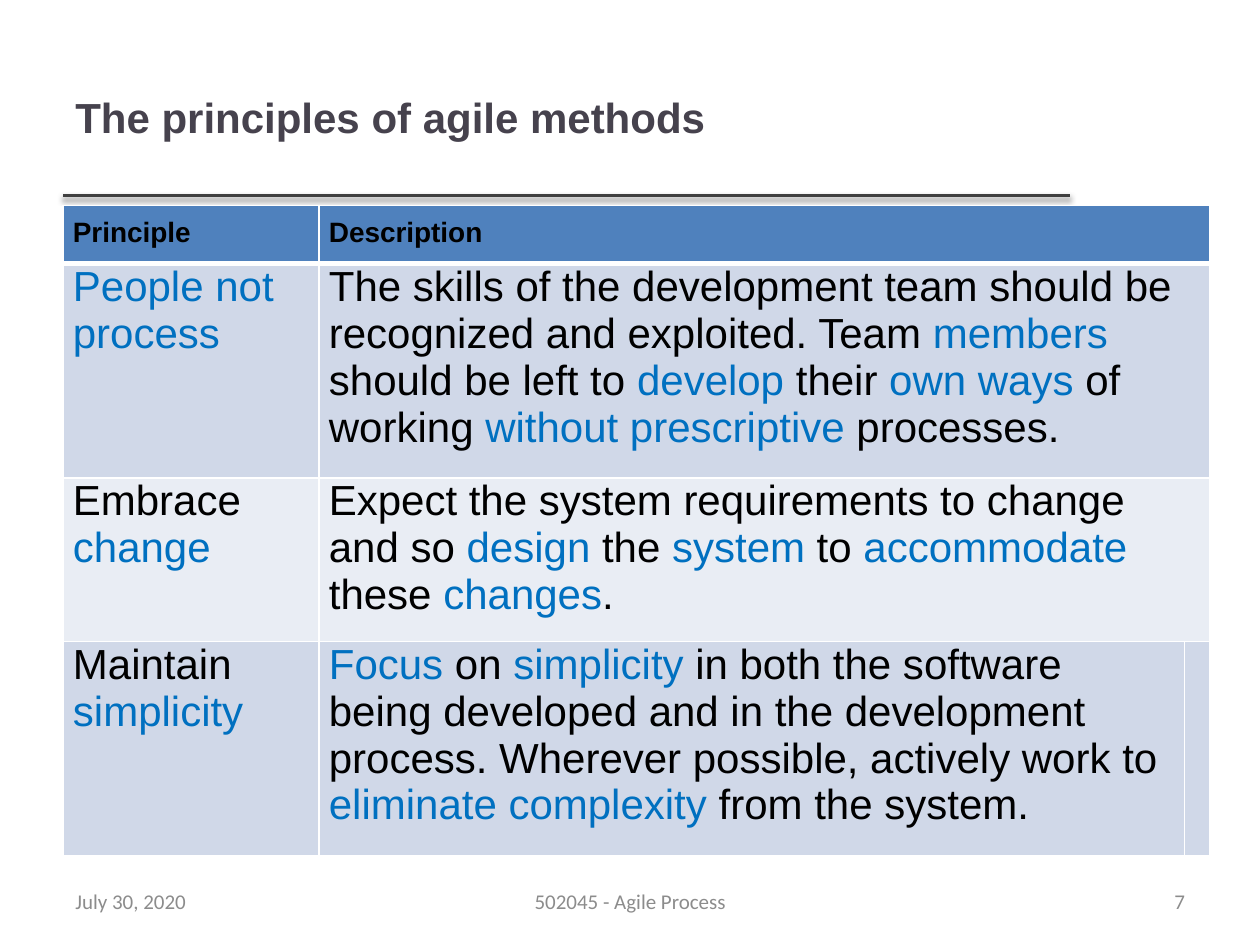
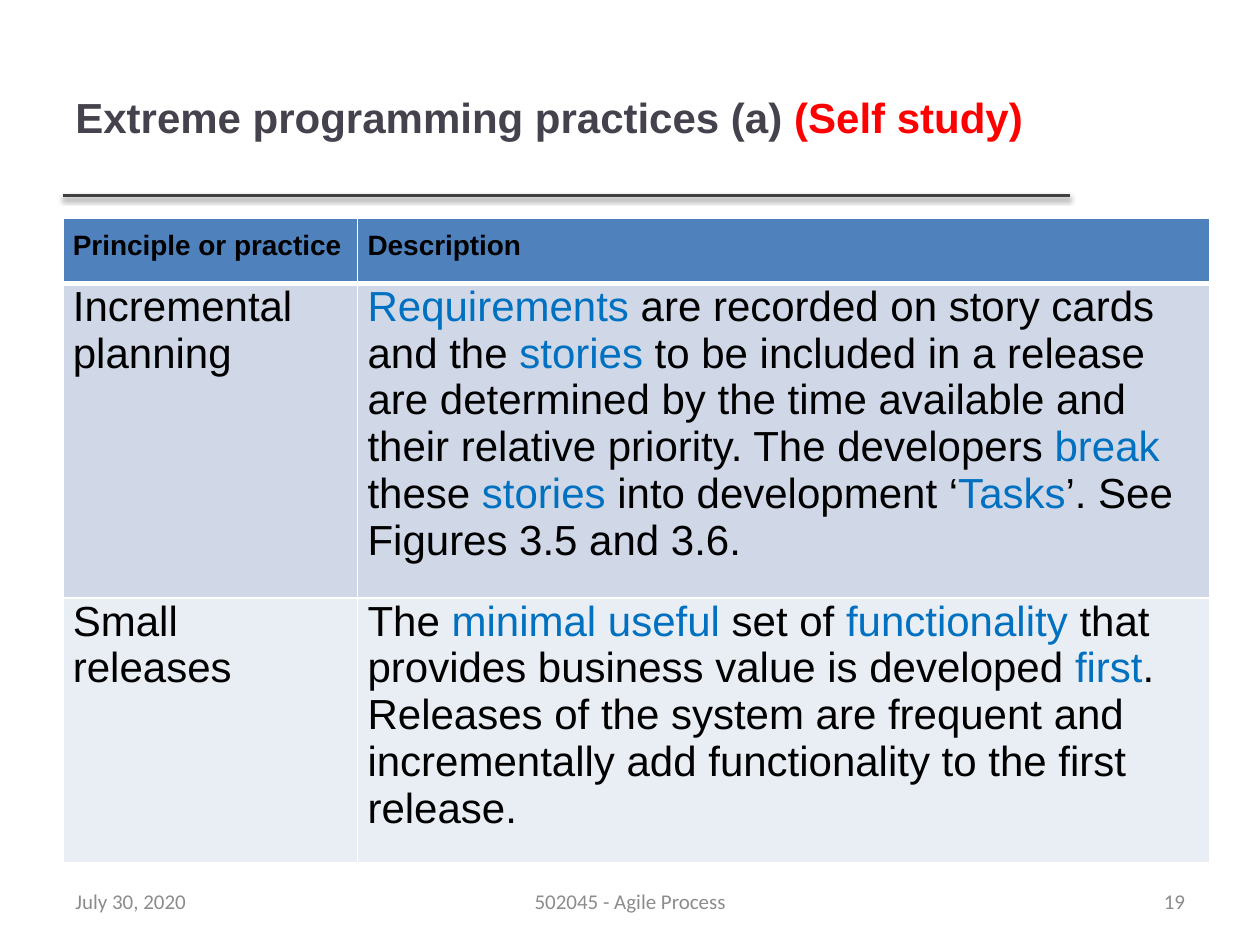
from lxml.etree import SubElement
from pptx import Presentation
from pptx.dml.color import RGBColor
from pptx.enum.shapes import MSO_CONNECTOR
from pptx.enum.text import MSO_ANCHOR, PP_ALIGN as Align
from pptx.oxml import parse_xml
from pptx.oxml.ns import nsdecls, qn
from pptx.util import Cm, Pt

# Content: words between asterisks are emphasised
SLIDES = [
    {
        "title": "The principles of agile methods",
        "number": "7",
        "top": 4.14,
        "columns": [5.16, 17.45, 0.36],
        "header_height": 1.12,
        "header": ["Principle", "Description"],
        "rows": [  # lines of text, principle, description
            (4, "*People not process*",
             "The skills of the development team should be recognized and exploited. "
             "Team *members* should be left to *develop* their *own ways *of working "
             "*without prescriptive* processes."),
            (3, "Embrace *change*",
             "Expect the system requirements to change and so *design* the *system* "
             "to *accommodate* these *changes*."),
            (4, "Maintain *simplicity*",
             "*Focus* on *simplicity* in both the software being developed and in the "
             "development process. Wherever possible, actively work to "
             "*eliminate complexity* from the system."),
        ],
        "merged_rows": 3,  # rows whose description covers the narrow last column
    },
    {
        "title": "Extreme programming practices (a) *(Self study)*",
        "number": "19",
        "top": 4.39,
        "columns": [5.94, 17.17],
        "header_height": 1.32,
        "header": ["Principle or practice", "Description"],
        "rows": [
            (6, "Incremental planning",
             "*Requirements* are recorded on story cards and the *stories* to be "
             "included in a release are determined by the time available and their "
             "relative priority. The developers *break* these *stories* into "
             "development ‘*Tasks*’. See Figures 3.5 and 3.6."),
            (5, "Small releases",
             "The *minimal useful *set of *functionality* that provides business value "
             "is developed *first*. Releases of the system are frequent and "
             "incrementally add functionality to the first release."),
        ],
        "merged_rows": 0,
    },
]
DATE, COURSE = "July 30, 2020", "502045 - Agile Process"

# Shared style
BLACK, WHITE, BLUE, RED = "000000", "FFFFFF", "0070C0", "FF0000"
TITLE_COLOR, RULE_COLOR, FOOTER_COLOR = "46424D", "404040", "8C8C8C"
HEADER_FILL, BAND_FILLS = "4F81BD", ["D0D8E8", "E9EDF4"]
LEFT, TITLE_TOP, TITLE_WIDTH, TITLE_HEIGHT = 1.27, 0.76, 20.28, 3.18
RULE_Y, RULE_END = 3.94, 21.56
FOOTER_TOP, FOOTER_HEIGHT, FOOTER_GAP = 17.65, 1.02, 1.49
LINE_HEIGHT, CELL_SIDE, CELL_END = 0.94, 0.2, 0.25


def color(value):
    return RGBColor.from_string(value)


def write(paragraph, text, size, base, font="Arial", emphasis=BLUE, bold=False,
          align=Align.LEFT):
    paragraph.alignment = align
    for index, part in enumerate(text.split("*")):
        if not part:
            continue
        run = paragraph.add_run()
        run.text = part
        run.font.name, run.font.size, run.font.bold = font, Pt(size), bold
        run.font.color.rgb = color(emphasis if index % 2 else base)


def add_text(slide, left, top, width, height, text, size, base, **style):
    box = slide.shapes.add_textbox(Cm(left), Cm(top), Cm(width), Cm(height))
    frame = box.text_frame
    frame.word_wrap = True
    frame.vertical_anchor = MSO_ANCHOR.MIDDLE
    write(frame.paragraphs[0], text, size, base, **style)


def add_rule(slide):
    rule = slide.shapes.add_connector(
        MSO_CONNECTOR.STRAIGHT, Cm(LEFT), Cm(RULE_Y), Cm(RULE_END), Cm(RULE_Y))
    rule.line.color.rgb = color(RULE_COLOR)
    rule.line.width = Pt(2)
    rule._element.spPr.append(parse_xml(
        f'<a:effectLst {nsdecls("a")}><a:outerShdw blurRad="{Pt(3.1)}" '
        f'dist="{Pt(1.6)}" dir="5400000" rotWithShape="0"><a:srgbClr val="{BLACK}">'
        '<a:alpha val="38000"/></a:srgbClr></a:outerShdw></a:effectLst>'))


def style_cell(cell, fill, top_margin, top_line, bottom_line):
    cell.margin_left = cell.margin_right = Cm(CELL_SIDE)
    cell.margin_top, cell.margin_bottom = Cm(top_margin), Cm(CELL_END)
    properties = cell._tc.get_or_add_tcPr()
    for side, width in zip("LRTB", (1, 1, top_line, bottom_line)):
        border = SubElement(properties, qn(f"a:ln{side}"), w=str(Pt(width)))
        solid = SubElement(border, qn("a:solidFill"))
        SubElement(solid, qn("a:srgbClr"), val=WHITE)
    cell.fill.solid()
    cell.fill.fore_color.rgb = color(fill)


def add_principles_table(slide, content):
    columns, rows = content["columns"], content["rows"]
    heights = [content["header_height"]]
    heights += [lines * LINE_HEIGHT + CELL_END for lines, *_ in rows]
    table = slide.shapes.add_table(
        len(heights), len(columns), Cm(LEFT), Cm(content["top"]),
        Cm(sum(columns)), Cm(sum(heights))).table
    table.first_row = table.horz_banding = False
    for column, width in zip(table.columns, columns):
        column.width = Cm(width)
    for row, height in zip(table.rows, heights):
        row.height = Cm(height)

    # Fills and borders, with a thick line under the header
    for r in range(len(heights)):
        for c in range(len(columns)):
            fill = BAND_FILLS[(r - 1) % 2] if r else HEADER_FILL
            style_cell(table.cell(r, c), fill, 0 if r else CELL_END,
                       3 if r == 1 else 1, 3 if r == 0 else 1)
    for r in range(content["merged_rows"]):
        table.cell(r, 1).merge(table.cell(r, len(columns) - 1))

    # Wording
    for c, label in enumerate(content["header"]):
        write(table.cell(0, c).text_frame.paragraphs[0], label, 16, BLACK,
              bold=True, align=Align.JUSTIFY)
    for r, (_, *texts) in enumerate(rows, 1):
        for c, text in enumerate(texts):
            write(table.cell(r, c).text_frame.paragraphs[0], text, 24, BLACK)


def add_footer(slide, number):
    left = LEFT
    for text, width, align in ((DATE, 5.92, Align.LEFT), (COURSE, 8.05, Align.CENTER),
                               (number, 5.92, Align.RIGHT)):
        add_text(slide, left, FOOTER_TOP, width, FOOTER_HEIGHT, text, 12,
                 FOOTER_COLOR, font="Calibri", align=align)
        left += width + FOOTER_GAP


def main():
    presentation = Presentation()
    presentation.slide_width, presentation.slide_height = Cm(25.4), Cm(19.05)
    for content in SLIDES:
        slide = presentation.slides.add_slide(presentation.slide_layouts[6])
        add_rule(slide)
        add_text(slide, LEFT, TITLE_TOP, TITLE_WIDTH, TITLE_HEIGHT, content["title"],
                 24, TITLE_COLOR, emphasis=RED, bold=True)
        add_principles_table(slide, content)
        add_footer(slide, content["number"])
    presentation.save("out.pptx")


if __name__ == "__main__":
    main()
